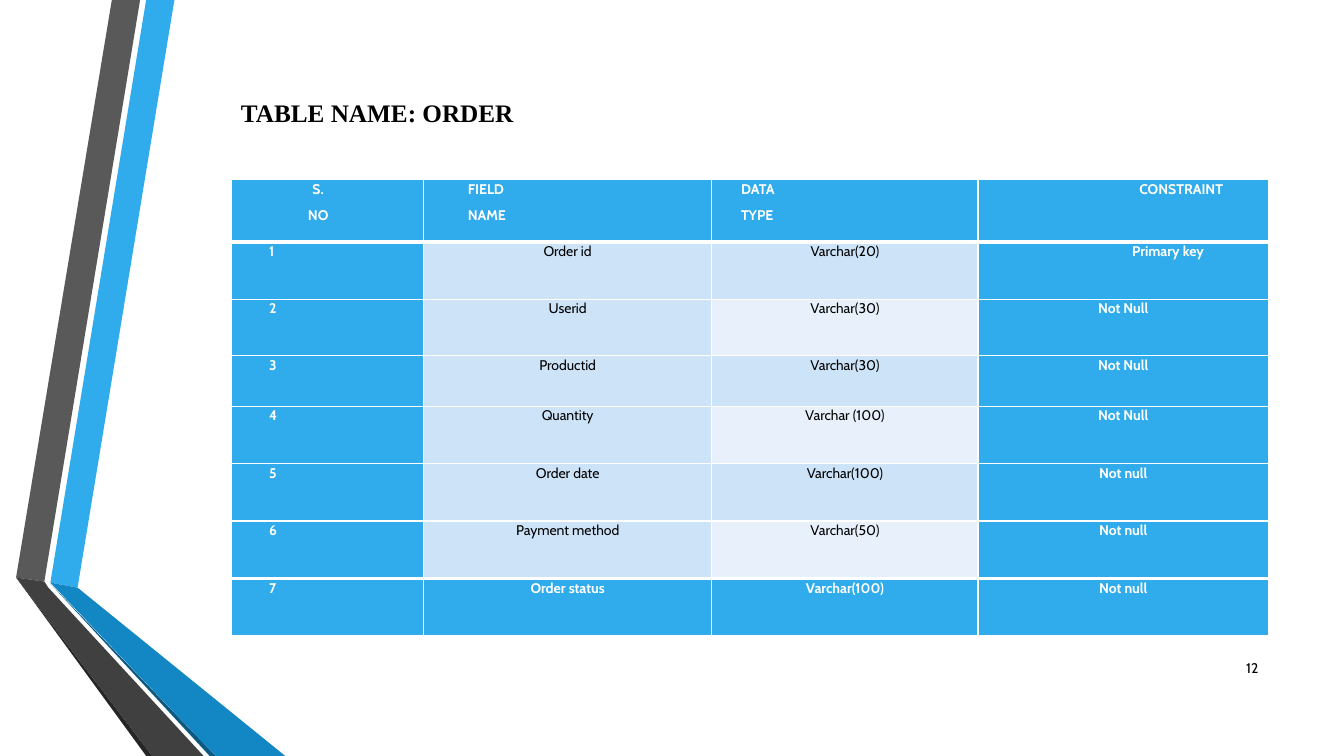
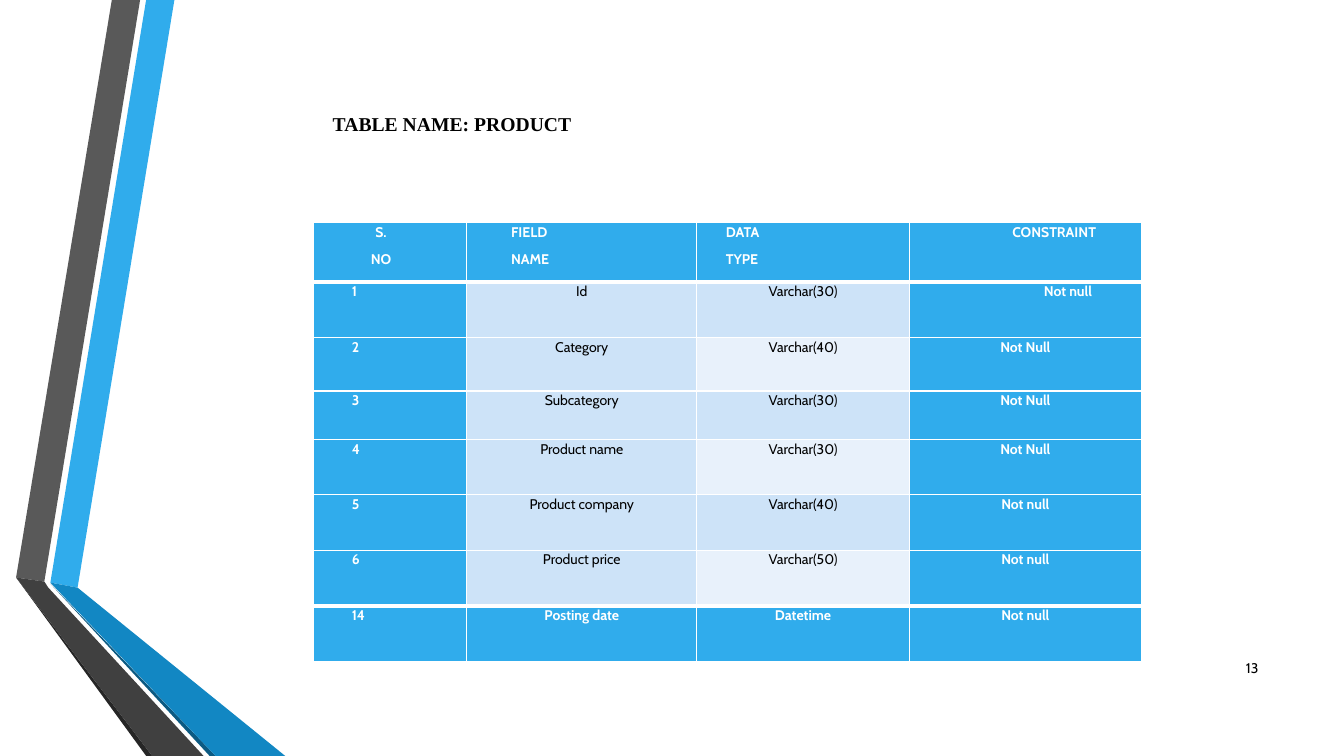
"""Two slides listing the fields of the order and product tables."""
import pptx
import pptx.dml.color
import pptx.enum.text
import pptx.oxml
import pptx.oxml.ns
import pptx.util

Inches = pptx.util.Inches
Pt = pptx.util.Pt
ALIGN = pptx.enum.text.PP_ALIGN
MIDDLE = pptx.enum.text.MSO_ANCHOR.MIDDLE

COLORS = {
    "blue": "30ACEC", "deep": "1287C3", "navy": "0C5A82",
    "gray": "595959", "dark": "404040", "coal": "262626",
    "pale": "CDE3F8", "faint": "E8F1FB", "white": "FFFFFF", "black": "000000",
}
BODY = "Cabin"
SERIF = "Times New Roman"

BANDS = [
    ("blue", [(0.5, 5.78), (0.77, 5.83), (1.73, 0), (1.45, 0)]),
    ("gray", [(1.39, 0), (1.11, 0), (0.16, 5.73), (0.44, 5.77)]),
    ("coal", [(0.16, 5.73), (1.45, 7.5), (1.51, 7.5)]),
    ("navy", [(0.5, 5.79), (2.08, 7.5), (2.14, 7.5)]),
    ("deep", [(0.5, 5.78), (2.14, 7.5), (2.83, 7.5), (0.77, 5.83)]),
    ("dark", [(2.02, 7.5), (0.48, 5.83), (0.44, 5.77), (0.16, 5.73), (1.51, 7.5)]),
]

HEAD = ["S.\nNO", "FIELD\nNAME", "DATA\nTYPE", "CONSTRAINT"]
HEAD_STYLE = [
    (ALIGN.CENTER, 0, 0.18), (ALIGN.LEFT, 0.44, 0),
    (ALIGN.LEFT, 0.29, 0), (ALIGN.RIGHT, 0, 0.45),
]
BODY_STYLE = [(ALIGN.LEFT, 0.38, 0)] + [(ALIGN.CENTER, 0, 0)] * 3

PAGES = [
    {
        "title": "TABLE NAME: ORDER", "size": 18, "box": (2.29, 0.88, 5.42, 0.43),
        "page": "12", "at": (2.29, 1.78), "inset": 0.64,
        "cols": [1.91, 2.86, 2.64, 2.88],
        "rows": [0.62, 0.57, 0.56, 0.5] + [0.57] * 4,
        "data": [
            ["1", "Order id", "Varchar(20)", "Primary key"],
            ["2", "Userid", "Varchar(30)", "Not Null"],
            ["3", "Productid", "Varchar(30)", "Not Null"],
            ["4", "Quantity", "Varchar (100)", "Not Null"],
            ["5", "Order date", "Varchar(100)", "Not null"],
            ["6", "Payment method", "Varchar(50)", "Not null"],
            ["7", "Order status", "Varchar(100)", "Not null"],
        ],
    },
    {
        "title": "TABLE NAME: PRODUCT", "size": 14, "box": (3.2, 0.96, 8, 0.5),
        "page": "13", "at": (3.11, 2.21), "inset": 0.49,
        "cols": [1.52, 2.28, 2.11, 2.3],
        "rows": [0.59, 0.55, 0.53, 0.48] + [0.55] * 4,
        "data": [
            ["1", "Id", "Varchar(30)", "Not null"],
            ["2", "Category", "Varchar(40)", "Not Null"],
            ["3", "Subcategory", "Varchar(30)", "Not Null"],
            ["4", "Product name", "Varchar(30)", "Not Null"],
            ["5", "Product company", "Varchar(40)", "Not null"],
            ["6", "Product price", "Varchar(50)", "Not null"],
            ["14", "Posting date", "Datetime", "Not null"],
        ],
    },
]


def rgb(name):
    """Return a named colour."""
    return pptx.dml.color.RGBColor.from_string(COLORS[name])


def style(frame, font, size, color, bold, align, space):
    """Format every paragraph and run of a text frame."""
    for para in frame.paragraphs:
        para.alignment = align
        para.line_spacing = space
        for run in para.runs:
            run.font.name = font
            run.font.size = Pt(size)
            run.font.bold = bold
            run.font.color.rgb = rgb(color)


def add_bands(slide):
    """Draw the folded bands once and move them to the shared layout."""
    tree = slide.slide_layout.shapes.element
    for index, (color, points) in enumerate(BANDS):
        spots = [(Inches(x), Inches(y)) for x, y in points]
        pen = slide.shapes.build_freeform(*spots[0])
        pen.add_line_segments(spots[1:], close=True)
        band = pen.convert_to_shape()
        band.name = f"Band {index + 1}"
        band.shadow.inherit = False
        band.fill.solid()
        band.fill.fore_color.rgb = rgb(color)
        band.line.fill.background()
        band.element.nvSpPr.cNvPr.set("id", str(20 + index))
        tree.append(band.element)


def add_title(slide, text, size, box):
    """Place the title in its box."""
    title = slide.shapes.title
    title.left, title.top, title.width, title.height = map(Inches, box)
    frame = title.text_frame
    frame.text = text
    frame.word_wrap = True
    frame.auto_size = pptx.enum.text.MSO_AUTO_SIZE.NONE
    frame.vertical_anchor = MIDDLE
    style(frame, SERIF, size, "black", True, ALIGN.LEFT, 1.15)


def add_page(slide, text):
    """Place the page number at the lower right."""
    box = slide.shapes.add_textbox(*map(Inches, (11.98, 6.43, 0.6, 0.4)))
    frame = box.text_frame
    frame.text = text
    frame.word_wrap = True
    frame.vertical_anchor = MIDDLE
    style(frame, BODY, 10, "black", False, ALIGN.RIGHT, 1)


def add_edges(cell, top, bottom):
    """Give a cell white borders of the stated widths."""
    props = cell._tc.get_or_add_tcPr()
    space = pptx.oxml.ns.nsdecls("a")
    for side, width in (("L", 1), ("R", 1), ("T", top), ("B", bottom)):
        props.append(pptx.oxml.parse_xml(
            f'<a:ln{side} {space} w="{Pt(width)}"><a:solidFill>'
            f'<a:srgbClr val="{COLORS["white"]}"/></a:solidFill></a:ln{side}>'))


def fill_cell(cell, text, color, layout):
    """Write a cell and set its fill, margins and text style."""
    align, left, right = layout
    cell.margin_left, cell.margin_right = Inches(left), Inches(right)
    cell.margin_top = cell.margin_bottom = 0
    cell.fill.solid()
    cell.fill.fore_color.rgb = rgb(color)
    cell.text_frame.text = text
    strong = color == "blue"
    style(cell.text_frame, BODY, 10, "white" if strong else "black",
          strong, align, 1.07)
    for para in cell.text_frame.paragraphs[1:]:
        para.space_before = Pt(6.3)


def pick_color(row, col, last):
    """Choose a cell's fill from its place in the grid."""
    if row in (0, last) or col in (0, 3):
        return "blue"
    return "faint" if col == 2 and row % 2 == 0 else "pale"


def add_grid(slide, page):
    """Build the field table at its corner."""
    cols, rows = page["cols"], page["rows"]
    left, top = page["at"]
    table = slide.shapes.add_table(
        len(rows), len(cols), Inches(left), Inches(top),
        Inches(sum(cols)), Inches(sum(rows))).table
    table.horz_banding = False
    for col, width in zip(table.columns, cols):
        col.width = Inches(width)
    last = len(rows) - 1
    for r, texts in enumerate([HEAD] + page["data"]):
        table.rows[r].height = Inches(rows[r])
        for c, text in enumerate(texts):
            layout = (BODY_STYLE if r else HEAD_STYLE)[c]
            if (r, c) == (1, 3):
                layout = (ALIGN.RIGHT, 0, page["inset"])
            cell = table.cell(r, c)
            add_edges(cell, 3 if r in (1, last) else 1,
                      3 if r in (0, last - 1) else 1)
            fill_cell(cell, text, pick_color(r, c, last), layout)


def main():
    """Build and save the slides."""
    prs = pptx.Presentation()
    prs.slide_width, prs.slide_height = Inches(13.33), Inches(7.5)
    for index, page in enumerate(PAGES):
        slide = prs.slides.add_slide(prs.slide_layouts[5])
        if index == 0:
            add_bands(slide)
        add_title(slide, page["title"], page["size"], page["box"])
        add_grid(slide, page)
        add_page(slide, page["page"])
    prs.save("out.pptx")


if __name__ == "__main__":
    main()
